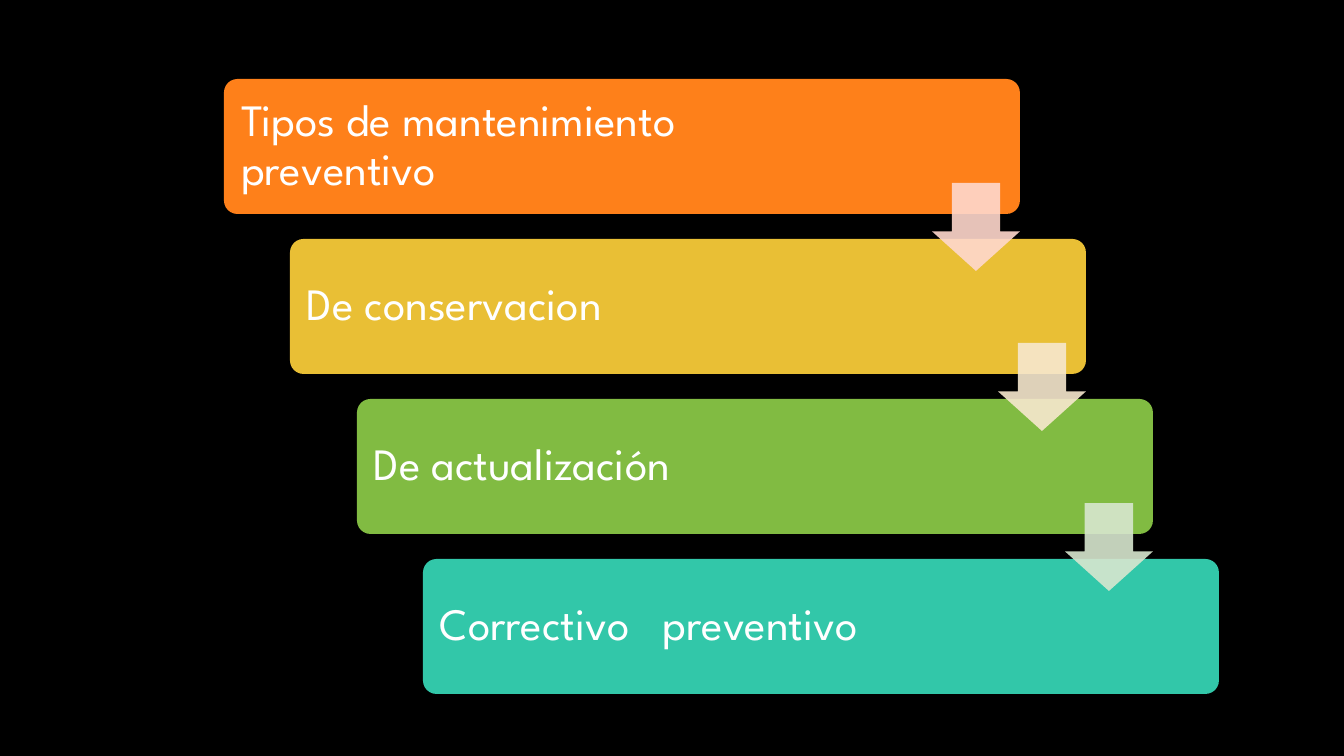
from lxml import etree
from pptx import Presentation
from pptx import util as u
from pptx.dml.color import RGBColor
from pptx.enum import shapes, text
from pptx.oxml.ns import qn

PX = 914400 / 100.8
WHITE = RGBColor(0xFF, 0xFF, 0xFF)
BLACK = RGBColor(0x00, 0x00, 0x00)
ORANGE = RGBColor(0xFE, 0x80, 0x1A)
YELLOW = RGBColor(0xE9, 0xBF, 0x35)
GREEN = RGBColor(0x81, 0xBB, 0x42)
TEAL = RGBColor(0x32, 0xC7, 0xA9)
PEACH = RGBColor(0xFF, 0xD8, 0xCD)
CREAM = RGBColor(0xF7, 0xE8, 0xCE)
MINT = RGBColor(0xD8, 0xE7, 0xCF)

CARDS = [
    ("Tipos de mantenimiento preventivo", ORANGE),
    ("De conservacion", YELLOW),
    ("De actualización", GREEN),
    ("Correctivo   preventivo", TEAL),
]
ARROWS = [PEACH, CREAM, MINT]
LEFT, TOP, WIDE, HIGH = 224, 79, 796, 135
SHIFT, DROP = 199 / 3, 160
EDGE, SIDE = 4, 88


def px(*sizes):
    return [u.Emu(round(size * PX)) for size in sizes]


def draw(kind, box, color):
    shape = slide.shapes.add_shape(kind, *px(*box))
    shape.shadow.inherit = False
    shape.fill.solid()
    shape.fill.fore_color.rgb = color
    shape.line.fill.background()
    return shape


deck = Presentation()
deck.slide_width, deck.slide_height = px(1344, 756)
slide = deck.slides.add_slide(deck.slide_layouts[5])
slide.background.fill.solid()
slide.background.fill.fore_color.rgb = BLACK
title = slide.shapes.title

for step, (label, color) in enumerate(CARDS):
    left, top = LEFT + round(step * SHIFT), TOP + step * DROP
    card = draw(shapes.MSO_SHAPE.ROUNDED_RECTANGLE, (left, top, WIDE, HIGH), color)
    card.adjustments[0] = 0.1
    holder = card
    if step == 0:
        holder = title
        title.left, title.top, title.width, title.height = px(
            left + EDGE, top + EDGE, WIDE - 2 * EDGE, HIGH - 2 * EDGE)
        card.element.addnext(title.element)
    frame = holder.text_frame
    frame.text = label
    frame.word_wrap = True
    frame.auto_size = text.MSO_AUTO_SIZE.NONE
    frame.vertical_anchor = text.MSO_ANCHOR.MIDDLE
    frame.margin_left, frame.margin_top, frame.margin_right, frame.margin_bottom = px(
        13, 13, 162, 13)
    para = frame.paragraphs[0]
    para.alignment = text.PP_ALIGN.LEFT
    para.line_spacing = 0.9
    font = para.runs[0].font
    font.name = "League Spartan"
    font.size = u.Pt(32)
    font.color.rgb = WHITE

for step, color in enumerate(ARROWS):
    left = LEFT + round(step * SHIFT) + WIDE - SIDE
    top = TOP + step * DROP + 104
    arrow = draw(shapes.MSO_SHAPE.DOWN_ARROW, (left, top, SIDE, SIDE), color)
    arrow.adjustments[0] = 0.55
    arrow.adjustments[1] = 0.45
    tint = arrow.element.spPr.find(qn("a:solidFill"))[0]
    etree.SubElement(tint, qn("a:alpha")).set("val", "90000")

deck.save("out.pptx")
